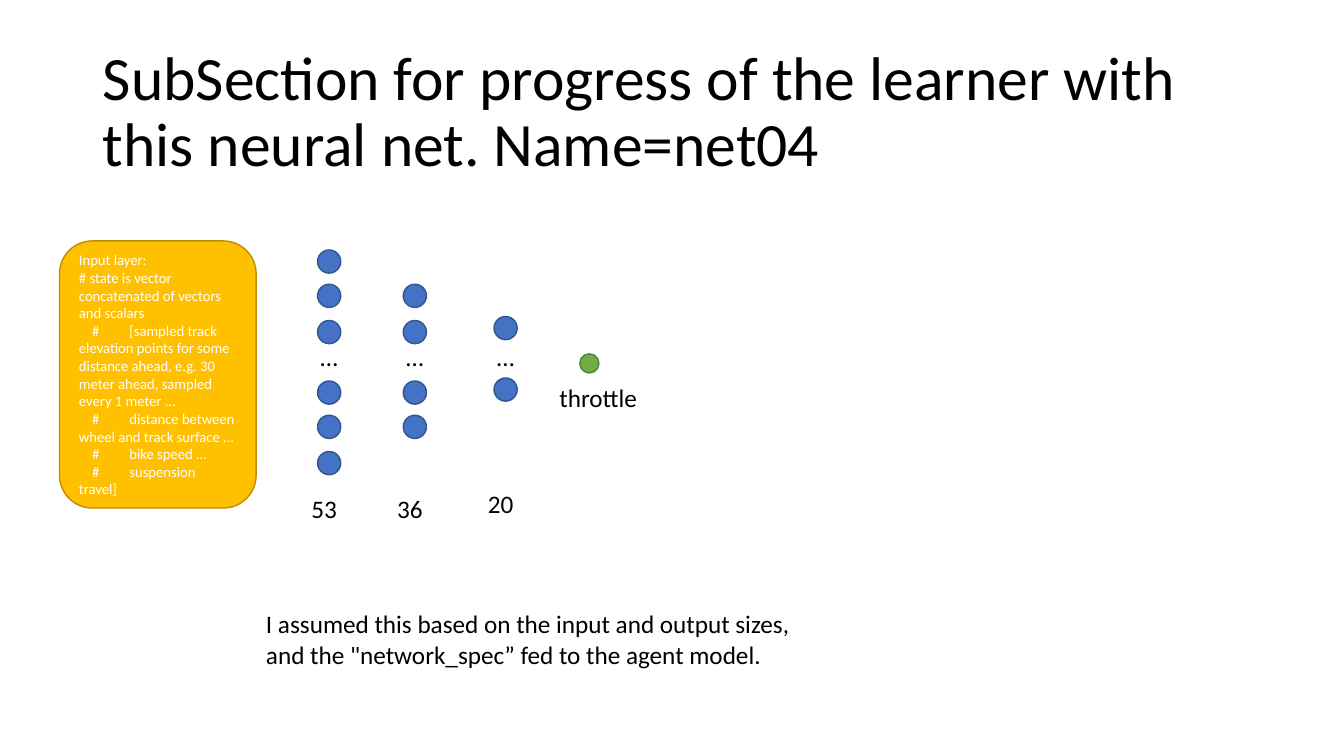
from lxml import etree
from pptx import Presentation
from pptx.dml.color import RGBColor
from pptx.enum import shapes, text
from pptx.oxml import ns
from pptx.util import Inches, Pt

FONT = "Calibri"
COLORS = {
    "text": "000000", "white": "FFFFFF",
    "neuron": "4472C4", "neuron_line": "325491",
    "output": "70AD47", "output_line": "538035",
    "input": "FFC000", "input_line": "BD8E00",
}
TITLE = "SubSection for progress of the learner with this neural net. Name=net04"
ASSUMPTION = ("I assumed this based on the input and output sizes, "
              "and the \"network_spec” fed to the agent model.")
INPUT_HEADING = ["Input layer:", "# state is vector concatenated of vectors and scalars"]
INPUT_PARTS = [
    "[sampled track elevation points for some distance ahead, "
    "e.g. 30 meter ahead, sampled every 1 meter ...",
    "distance between wheel and track surface ...",
    "bike speed ...",
    "suspension travel]",
]
NEURON_SIZE = 0.23
OUTER_ROWS = [2.48, 2.82, 3.18, 3.78, 4.12, 4.48]
# Layer size, neuron left, neuron tops, label top
LAYERS = [
    ("53", 3.15, OUTER_ROWS, 4.84),
    ("36", 4.0, OUTER_ROWS[1:-1], 4.84),
    ("20", 4.9, [3.14, 3.75], 4.8),
]


def rgb(name):
    return RGBColor.from_string(COLORS[name])


def write(frame, lines, size, color="text", **paragraph_format):
    """Fill a text frame with left-aligned paragraphs of one style."""
    frame.word_wrap = True
    frame.text = "\n".join(lines)
    settings = {"alignment": text.PP_ALIGN.LEFT, **paragraph_format}
    for paragraph in frame.paragraphs:
        for name, value in settings.items():
            setattr(paragraph, name, value)
        for run in paragraph.runs:
            run.font.color.rgb = rgb(color)
            for name, value in {"name": FONT, "size": Pt(size)}.items():
                setattr(run.font, name, value)


def add_label(slide, words, left, top, width, height=0.4):
    box = slide.shapes.add_textbox(*map(Inches, (left, top, width, height)))
    write(box.text_frame, [words], 18)


def add_filled(slide, kind, left, top, width, height, color):
    shape = slide.shapes.add_shape(kind, *map(Inches, (left, top, width, height)))
    shape.shadow.inherit = False
    shape.fill.solid()
    shape.fill.fore_color.rgb = rgb(color)
    shape.line.color.rgb = rgb(color + "_line")
    shape.line.width = Pt(1)
    return shape


def add_circle(slide, left, top, size, color):
    add_filled(slide, shapes.MSO_SHAPE.OVAL, left, top, size, size, color)


def indent_first_line(paragraph, indent, tab):
    """Indent the first line and set the tab stop after its # sign."""
    properties = paragraph._p.get_or_add_pPr()
    properties.set("marL", "0")
    properties.set("indent", str(Inches(indent)))
    stops = etree.SubElement(properties, ns.qn("a:tabLst"))
    etree.SubElement(stops, ns.qn("a:tab"), pos=str(Inches(tab)), algn="l")


def set_title(slide):
    title = slide.shapes.title
    placement = {"left": 0.92, "top": 0.4, "width": 11.5, "height": 1.45}
    for name, value in placement.items():
        setattr(title, name, Inches(value))
    title.text_frame.auto_size = text.MSO_AUTO_SIZE.NONE
    title.text_frame.vertical_anchor = text.MSO_ANCHOR.MIDDLE
    write(title.text_frame, [TITLE], 44, line_spacing=0.9)


def add_input_layer(slide):
    card = add_filled(slide, shapes.MSO_SHAPE.ROUNDED_RECTANGLE,
                      0.59, 2.39, 1.95, 2.65, "input")
    frame = card.text_frame
    frame.vertical_anchor = text.MSO_ANCHOR.MIDDLE
    write(frame, INPUT_HEADING + ["#\t" + part for part in INPUT_PARTS], 10.5, "white")
    for paragraph in frame.paragraphs[len(INPUT_HEADING):]:
        indent_first_line(paragraph, 0.13, 0.3)


def add_layer(slide, count, left, tops, label_top):
    for top in tops:
        add_circle(slide, left, top, NEURON_SIZE, "neuron")
    add_label(slide, "…", left - 0.07, 3.34, 0.44)
    add_label(slide, count, left - 0.16, label_top, 0.55)


def main():
    presentation = Presentation()
    presentation.slide_width = Inches(13.33)
    presentation.slide_height = Inches(7.5)
    slide = presentation.slides.add_slide(presentation.slide_layouts.get_by_name("Title Only"))
    set_title(slide)
    add_input_layer(slide)
    for layer in LAYERS:
        add_layer(slide, *layer)
    add_circle(slide, 5.75, 3.51, 0.19, "output")
    add_label(slide, "throttle", 5.45, 3.74, 2.72)
    add_label(slide, ASSUMPTION, 2.54, 5.99, 5.76, 0.71)
    presentation.save("out.pptx")


if __name__ == "__main__":
    main()
